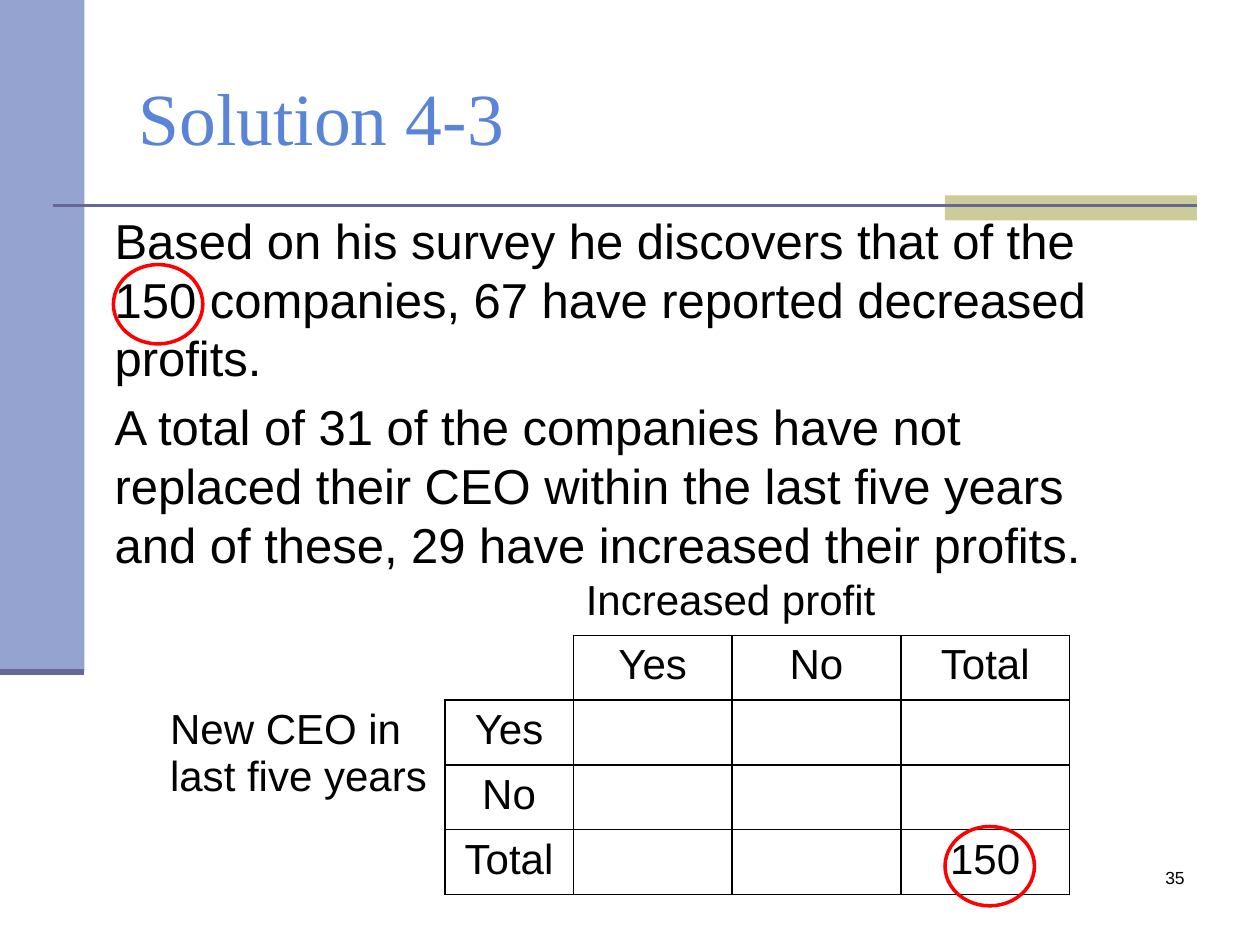
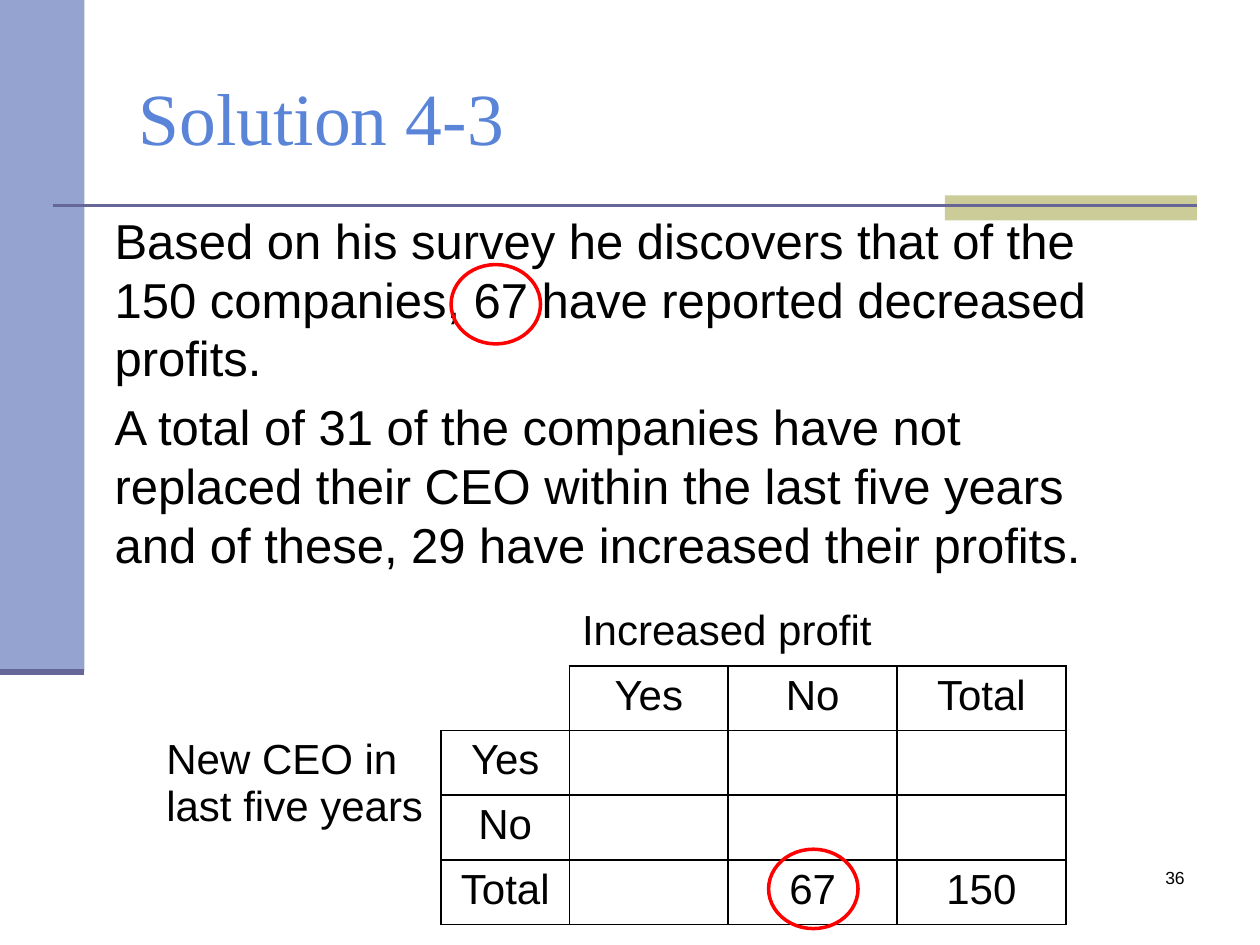
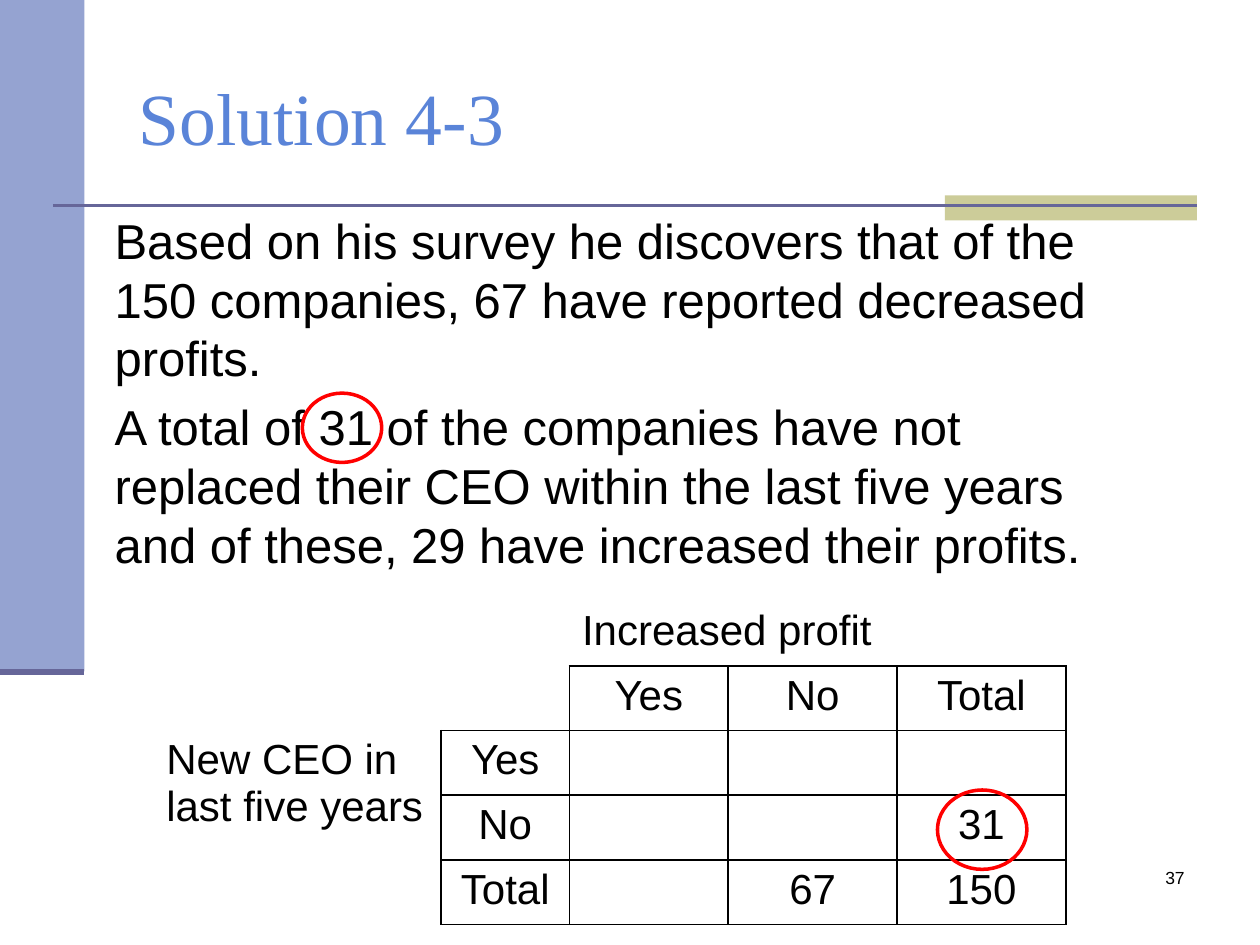
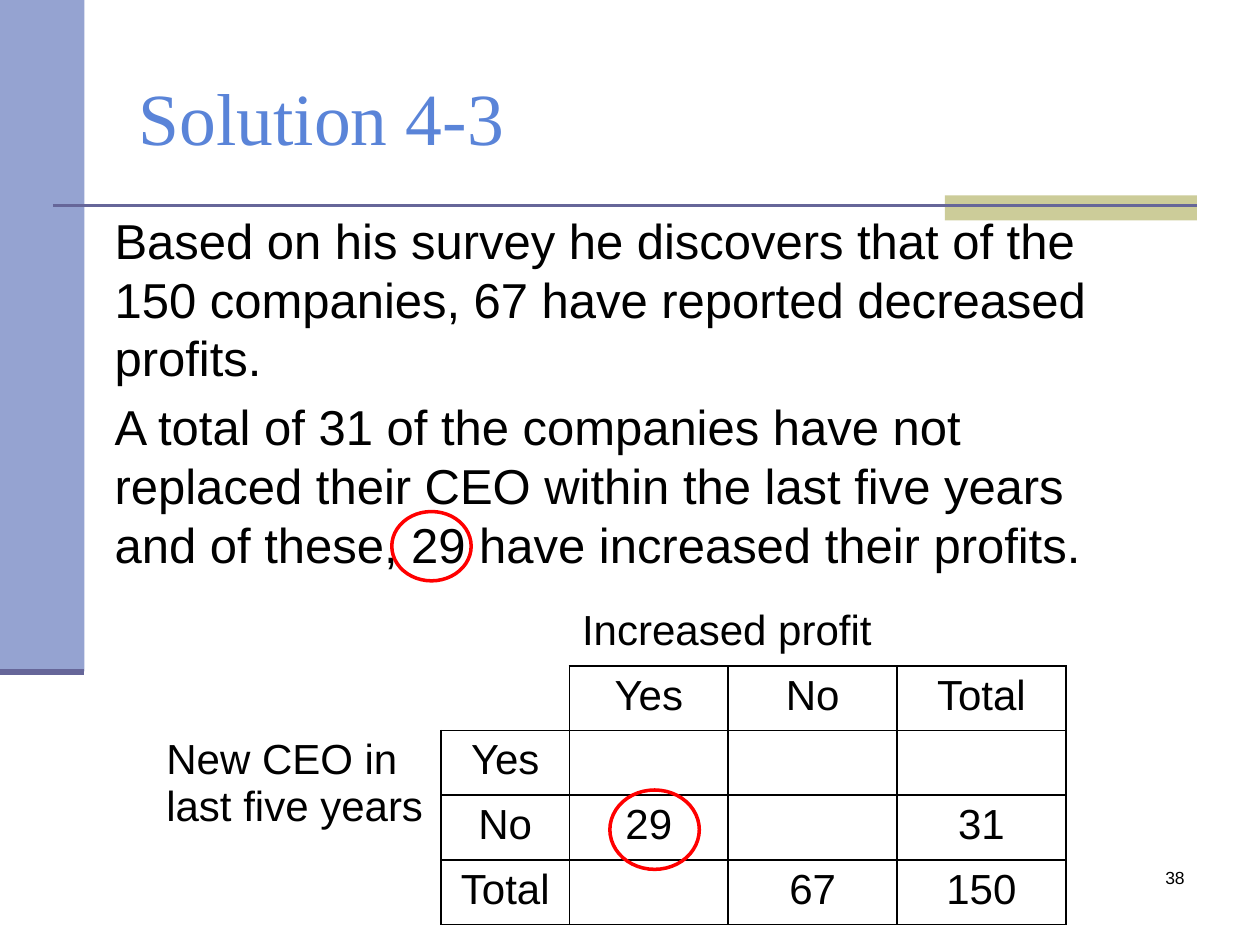
"""Builds four slides that fill in the Solution 4-3 contingency table step by step."""
from lxml import etree
from pptx import Presentation
from pptx.dml.color import RGBColor
from pptx.enum import shapes, text
from pptx.oxml import ns
from pptx.util import Inches, Pt

TITLE = "Solution 4-3"
STATEMENTS = [
    "Based on his survey he discovers that of the 150 companies, 67 have reported decreased profits.",
    "A total of 31 of the companies have not replaced their CEO within the last five years "
    "and of these, 29 have increased their profits.",
]
LABELS = {
    (0, 2): "Increased profit", (2, 0): "New CEO in last five years",
    (1, 2): "Yes", (1, 3): "No", (1, 4): "Total",
    (2, 1): "Yes", (3, 1): "No", (4, 1): "Total",
}
LEFT_ALIGNED = [(0, 2), (2, 0)]
MERGES = [((0, 2), (0, 3)), ((2, 0), (4, 0))]
COLUMN_WIDTHS = [2.28, 1.02, 1.26, 1.34, 1.34]
ROW_COUNT = 5
TABLE_HEIGHT = 2.57

LARGE, SMALL = (0.71, 0.63), (0.63, 0.55)
FIRST_PAGE = 35
STEPS = [
    {"cell": (4, 4), "count": "150", "table": (1.25, 4.53),
     "rings": [((0.9, 2.1), LARGE), ((7.5, 6.56), LARGE)]},
    {"cell": (4, 3), "count": "67", "table": (1.22, 4.77),
     "rings": [((3.58, 2.1), LARGE), ((6.1, 6.74), LARGE)]},
    {"cell": (3, 4), "count": "31", "table": (1.22, 4.77),
     "rings": [((2.4, 3.12), SMALL), ((7.44, 6.27), LARGE)]},
    {"cell": (3, 2), "count": "29", "table": (1.22, 4.77),
     "rings": [((3.11, 4.06), SMALL), ((4.84, 6.27), LARGE)]},
]

INK, BLUE, SIDE, ACCENT, RULE, RED = "000000", "5A84D8", "95A3D1", "CCCC99", "666699", "FF0000"
BANDS = [((0, 0, 0.67, 5.33), SIDE), ((7.5, 1.55, 2, 0.2), ACCENT)]
RULES = [((0.42, 1.63, 9.5, 1.63), 1.5), ((0, 5.33, 0.67, 5.33), 3.5)]
EDGES = {"a:lnL": (0, -1), "a:lnR": (0, 1), "a:lnT": (-1, 0), "a:lnB": (1, 0)}


def color(value):
    return RGBColor.from_string(value)


def inches(values):
    return [Inches(value) for value in values]


def style(paragraph, size, ink=INK, face="Arial", align=text.PP_ALIGN.LEFT):
    paragraph.alignment = align
    paragraph.font.size = Pt(size)
    paragraph.font.name = face
    paragraph.font.color.rgb = color(ink)


def add_preset(slide, kind, box, fill=None, line=None):
    shape = slide.shapes.add_shape(kind, *inches(box))
    shape.shadow.inherit = False
    if fill:
        shape.fill.solid()
        shape.fill.fore_color.rgb = color(fill)
    else:
        shape.fill.background()
    if line:
        shape.line.color.rgb = color(line)
        shape.line.width = Pt(2)
    else:
        shape.line.fill.background()
    return shape


def add_rule(slide, ends, weight):
    rule = slide.shapes.add_connector(shapes.MSO_CONNECTOR.STRAIGHT, *inches(ends))
    rule.line.color.rgb = color(RULE)
    rule.line.width = Pt(weight)
    etree.SubElement(rule.element.spPr, ns.qn("a:effectLst"))
    return rule


def decorate_layout(layout, slide):
    parts = [add_preset(slide, shapes.MSO_SHAPE.RECTANGLE, box, fill) for box, fill in BANDS]
    parts += [add_rule(slide, ends, weight) for ends, weight in RULES]
    for position, part in enumerate(parts, 2):
        layout.shapes.element.insert(position, part.element)


def add_title(slide):
    title = slide.shapes.title
    title.left, title.top, title.width, title.height = inches((1, 0.3, 8.5, 1.25))
    frame = title.text_frame
    frame.text = TITLE
    frame.auto_size = text.MSO_AUTO_SIZE.NONE
    frame.vertical_anchor = text.MSO_ANCHOR.MIDDLE
    style(frame.paragraphs[0], 42, BLUE, "Times New Roman")


def add_text(slide, box, lines, size, align=text.PP_ALIGN.LEFT):
    frame = slide.shapes.add_textbox(*inches(box)).text_frame
    frame.word_wrap = True
    frame.text = "\n".join(lines)
    for paragraph in frame.paragraphs:
        style(paragraph, size, align=align)
    return frame


def add_statements(slide):
    frame = add_text(slide, (0.43, 1.62, 8.82, 3), STATEMENTS, 28)
    frame.margin_left = Inches(0.48)
    for paragraph in frame.paragraphs[1:]:
        paragraph.space_before = Pt(5.6)


def is_framed(row, column):
    return (1 <= row < ROW_COUNT and 1 <= column < len(COLUMN_WIDTHS)
            and (row, column) != (1, 1))


def set_borders(cell, row, column):
    properties = cell._tc.get_or_add_tcPr()
    for position, (tag, (down, across)) in enumerate(EDGES.items()):
        edge = etree.Element(ns.qn(tag), w=str(Pt(1)))
        if is_framed(row, column) or is_framed(row + down, column + across):
            fill = etree.SubElement(edge, ns.qn("a:solidFill"))
            etree.SubElement(fill, ns.qn("a:srgbClr"), val=INK)
        else:
            etree.SubElement(edge, ns.qn("a:noFill"))
        properties.insert(position, edge)


def add_counts(slide, corner, entries):
    box = (*corner, sum(COLUMN_WIDTHS), TABLE_HEIGHT)
    counts = slide.shapes.add_table(ROW_COUNT, len(COLUMN_WIDTHS), *inches(box)).table
    counts.first_row = counts.horz_banding = False
    for column, width in zip(counts.columns, COLUMN_WIDTHS):
        column.width = Inches(width)
    for row in counts.rows:
        row.height = Inches(TABLE_HEIGHT / ROW_COUNT)
    for start, end in MERGES:
        counts.cell(*start).merge(counts.cell(*end))
    for row in range(ROW_COUNT):
        for column in range(len(COLUMN_WIDTHS)):
            cell = counts.cell(row, column)
            cell.fill.background()
            set_borders(cell, row, column)
            cell.text = entries.get((row, column), "")
            left = (row, column) in LEFT_ALIGNED
            style(cell.text_frame.paragraphs[0], 24,
                  align=text.PP_ALIGN.LEFT if left else text.PP_ALIGN.CENTER)


def main():
    deck = Presentation()
    deck.slide_width, deck.slide_height = inches((10, 7.5))
    layout = deck.slide_layouts[5]
    entries = dict(LABELS)
    for index, step in enumerate(STEPS):
        slide = deck.slides.add_slide(layout)
        if index == 0:
            decorate_layout(layout, slide)
        entries[step["cell"]] = step["count"]
        add_text(slide, (7.42, 6.83, 2.08, 0.5), [str(FIRST_PAGE + index)], 10,
                 text.PP_ALIGN.RIGHT)
        add_title(slide)
        add_statements(slide)
        add_counts(slide, step["table"], entries)
        for corner, size in step["rings"]:
            add_preset(slide, shapes.MSO_SHAPE.OVAL, (*corner, *size), line=RED)
    deck.save("out.pptx")


if __name__ == "__main__":
    main()
